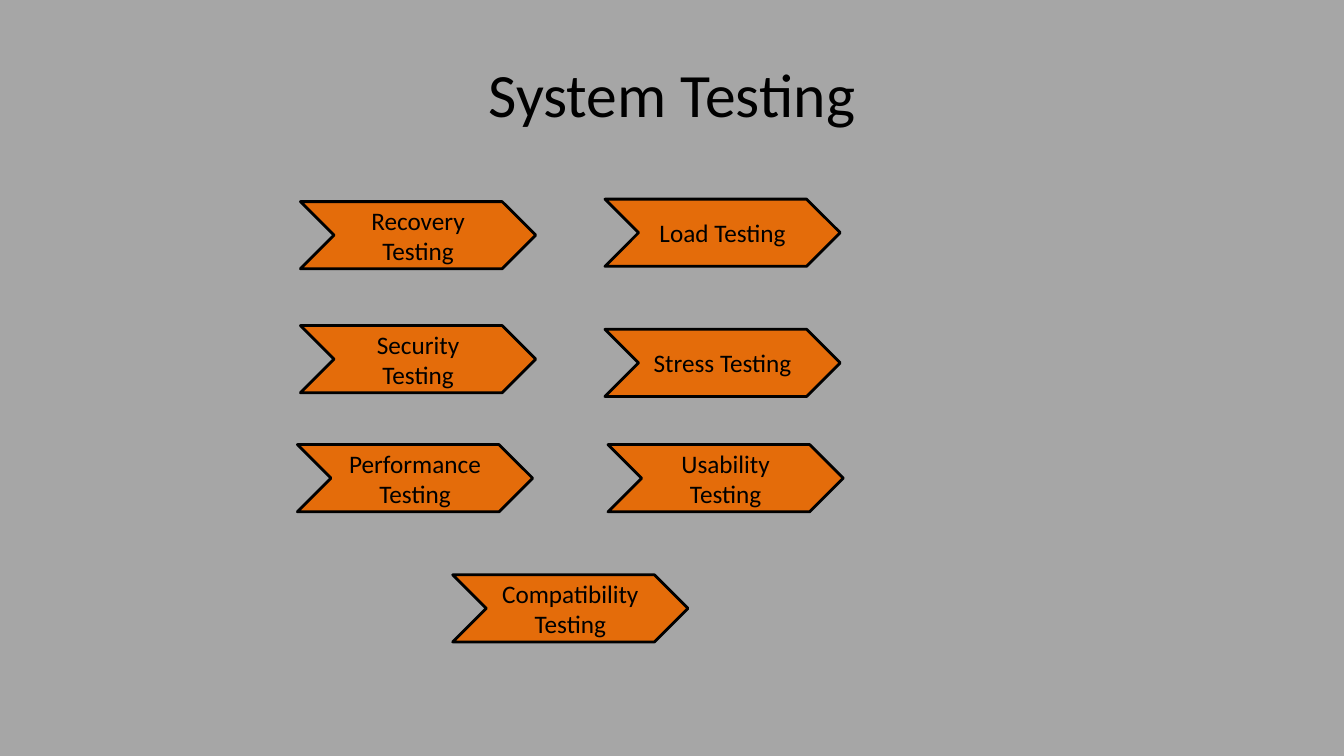
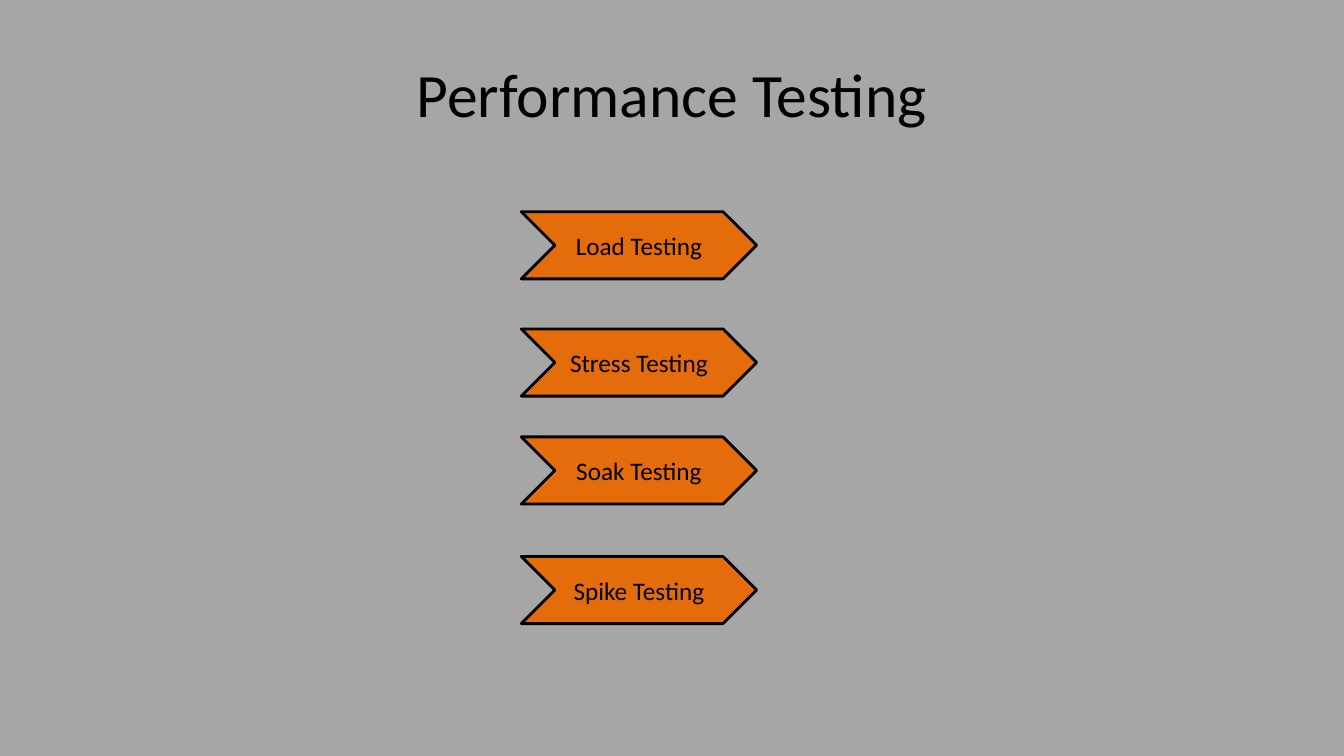
from dataclasses import dataclass

from pptx import Presentation
from pptx.dml.color import RGBColor
from pptx.enum.shapes import MSO_SHAPE as Shape
from pptx.enum.text import MSO_ANCHOR as Anchor, PP_ALIGN as Align
from pptx.presentation import Presentation as Deck
from pptx.slide import Slide
from pptx.text.text import TextFrame
from pptx.util import Inches, Pt

# Shared style
SLIDE_W, SLIDE_H = 13.33, 7.5
FONT = "Calibri"
GREY, ORANGE, BLACK = "A6A6A6", "E46C0A", "000000"
TITLE_SIZE, LABEL_SIZE = 44, 18
TITLE_BOX = (0.05, 0.04, 0.9, 1 / 6)  # shares of the slide
CHEVRON_W, CHEVRON_H = 7 / 3, 2 / 3


@dataclass(frozen=True)
class Grid:
    left: float
    top: float
    col_step: float
    row_step: float


@dataclass(frozen=True)
class Chevron:
    label: str
    col: float
    row: float


@dataclass(frozen=True)
class Page:
    title: str
    grid: Grid
    chevrons: tuple[Chevron, ...]


# Content: chevrons sit at columns and rows of each page's grid
PAGES = (
    Page("System Testing", Grid(2.98, 2, 3.02, 1.23), (
        Chevron("Recovery Testing", 0, 0),
        Chevron("Security Testing", 0, 1),
        Chevron("Load Testing", 1, -0.02),
        Chevron("Stress Testing", 1, 1.03),
        Chevron("Performance Testing", -0.01, 1.96),
        Chevron("Usability Testing", 1.01, 1.96),
        Chevron("Compatibility Testing", 0.5, 3.01),
    )),
    Page("Performance Testing", Grid(5.17, 2.1, 0, 1.14), (
        Chevron("Load Testing", 0, 0),
        Chevron("Stress Testing", 0, 1.02),
        Chevron("Soak Testing", 0, 1.96),
        Chevron("Spike Testing", 0, 3),
    )),
)


def color(value: str) -> RGBColor:
    return RGBColor.from_string(value)


def write(tf: TextFrame, text: str, size: int) -> None:
    """Put one centred run into a text frame."""
    tf.word_wrap = True
    tf.vertical_anchor = Anchor.MIDDLE
    p = tf.paragraphs[0]
    p.alignment = Align.CENTER
    r = p.add_run()
    r.text = text
    r.font.name = FONT
    r.font.size = Pt(size)
    r.font.color.rgb = color(BLACK)


def add_title(s: Slide, text: str) -> None:
    sp = s.shapes.title
    left, top, width, height = TITLE_BOX
    sp.left, sp.width = Inches(left * SLIDE_W), Inches(width * SLIDE_W)
    sp.top, sp.height = Inches(top * SLIDE_H), Inches(height * SLIDE_H)
    write(sp.text_frame, text, TITLE_SIZE)


def add_chevron(s: Slide, grid: Grid, item: Chevron) -> None:
    sp = s.shapes.add_shape(
        Shape.CHEVRON,
        Inches(grid.left + item.col * grid.col_step),
        Inches(grid.top + item.row * grid.row_step),
        Inches(CHEVRON_W), Inches(CHEVRON_H))
    sp.shadow.inherit = False
    sp.fill.solid()
    sp.fill.fore_color.rgb = color(ORANGE)
    sp.line.color.rgb = color(BLACK)
    sp.line.width = Pt(2)
    write(sp.text_frame, item.label, LABEL_SIZE)


def add_page(prs: Deck, page: Page) -> None:
    s = prs.slides.add_slide(prs.slide_layouts.get_by_name("Title Only"))
    add_title(s, page.title)
    for item in page.chevrons:
        add_chevron(s, page.grid, item)


def main() -> None:
    prs = Presentation()
    prs.slide_width, prs.slide_height = Inches(SLIDE_W), Inches(SLIDE_H)

    # Background for every slide
    fill = prs.slide_master.background.fill
    fill.solid()
    fill.fore_color.rgb = color(GREY)

    for page in PAGES:
        add_page(prs, page)
    prs.save("out.pptx")


if __name__ == "__main__":
    main()
